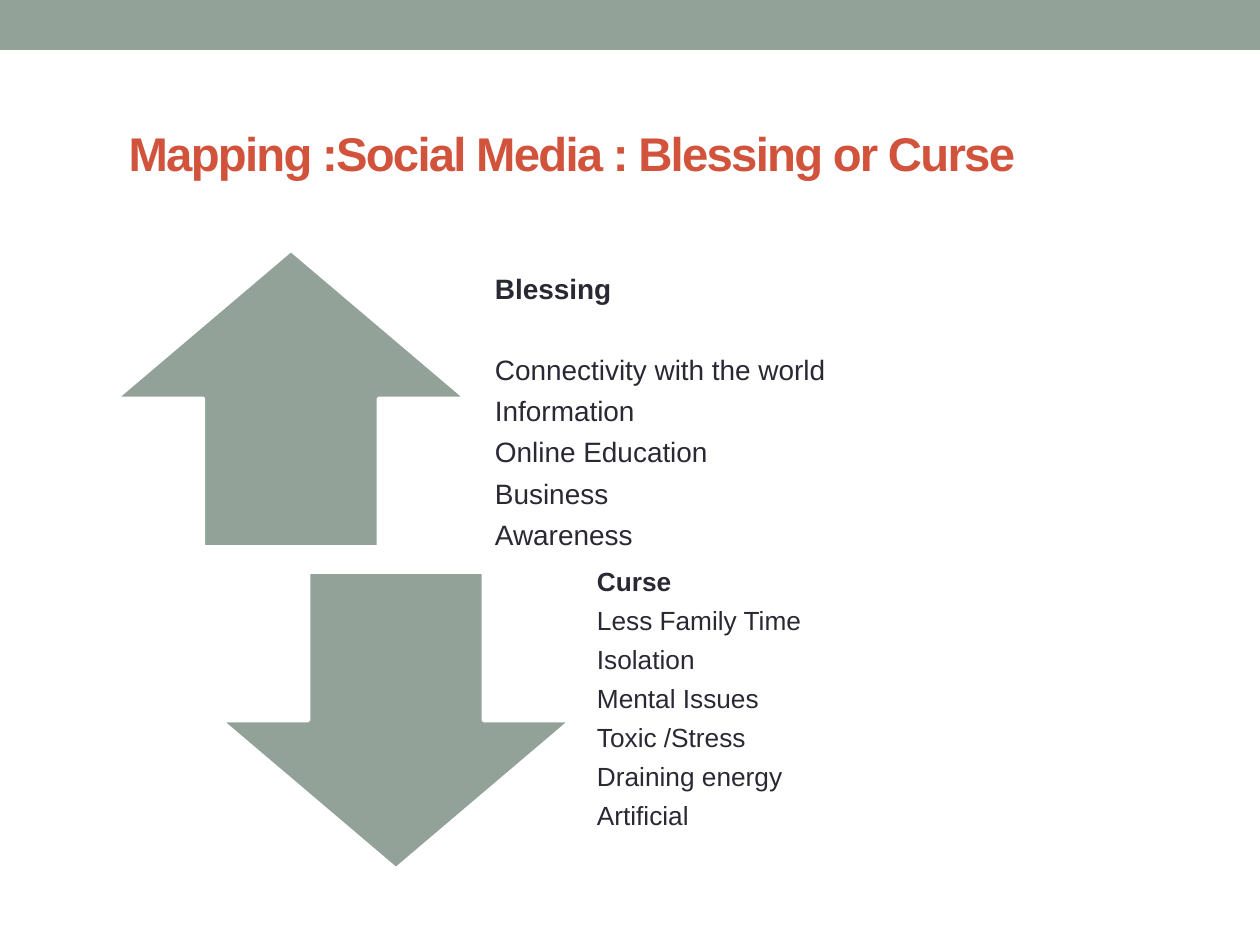
from pptx import Presentation
from pptx.dml.color import RGBColor
from pptx.enum.shapes import MSO_SHAPE as Shape
from pptx.enum.text import MSO_ANCHOR as Anchor, MSO_AUTO_SIZE as AutoSize, PP_ALIGN as Align
from pptx.oxml.ns import qn
from pptx.util import Pt

PX = 914400 / 126
COLORS = {"sage": "93A299", "red": "D2533C", "ink": "292934", "white": "FFFFFF"}
FONT = "Arial"


def px(value):
    return round(value * PX)


def color(name):
    return RGBColor.from_string(COLORS[name])


def place(shape, box):
    shape.left, shape.top, shape.width, shape.height = map(px, box)


def set_font(font, size, name, bold):
    font.name, font.size, font.bold = FONT, Pt(size), bold
    font.color.rgb = color(name)


def add_sage_shape(page, kind, box):
    shape = page.shapes.add_shape(kind, *map(px, box))
    shape.shadow.inherit = False
    shape.fill.solid()
    shape.fill.fore_color.rgb = color("sage")
    shape.line.fill.background()
    return shape


def add_arrow(page, kind, box):
    arrow = add_sage_shape(page, kind, box)
    arrow.line.color.rgb = color("white")
    arrow.line.width = Pt(2.08)


def fill_title(title, box, text):
    place(title, box)
    frame = title.text_frame
    frame.text = text
    frame.auto_size = AutoSize.NONE
    frame.vertical_anchor = Anchor.MIDDLE
    para = frame.paragraphs[0]
    para.alignment = Align.LEFT
    set_font(para.font, 27, "red", True)
    # Tight letter spacing
    para.runs[0].font._element.set("spc", "-100")


def fill_list(body, box, top_inset, lines, size, gap, heading_gap):
    """Write a bold heading and its plain list, without bullets."""
    place(body, box)
    frame = body.text_frame
    frame.auto_size = AutoSize.NONE
    frame.vertical_anchor = Anchor.TOP
    frame.margin_left = frame.margin_right = px(15)
    frame.margin_top, frame.margin_bottom = px(top_inset), 0
    frame.text = "\n".join(lines)
    for index, para in enumerate(frame.paragraphs):
        heading = index == 0
        props = para._p.get_or_add_pPr()
        props.set("marL", "0")
        props.set("indent", "0")
        props.append(props.makeelement(qn("a:buNone"), {}))
        para.line_spacing = 0.9
        para.space_before = Pt(0)
        para.space_after = Pt(heading_gap if heading else gap)
        set_font(para.font, size, "ink", heading)


def main():
    deck = Presentation()
    deck.slide_width, deck.slide_height = px(1260), px(945)
    page = deck.slides.add_slide(deck.slide_layouts.get_by_name("Two Content"))
    title, blessing, curse = page.placeholders

    # Top band and title
    add_sage_shape(page, Shape.RECTANGLE, (0, 0, 1260, 50))
    fill_title(title, (116, 116, 1040, 73), "Mapping :Social Media : Blessing or Curse")

    # Blessing: arrow up
    add_arrow(page, Shape.UP_ARROW, (116, 250, 350, 297))
    fill_list(blessing, (480, 250, 593, 412), 25,
              ["Blessing", "Connectivity with the world", "Information",
               "Online Education", "Business", "Awareness"],
              size=16, gap=6.3, heading_gap=29.2)

    # Curse: arrow down
    add_arrow(page, Shape.DOWN_ARROW, (221, 572, 350, 297))
    fill_list(curse, (582, 489, 593, 463), 80,
              ["Curse", "Less Family Time", "Isolation", "Mental Issues",
               "Toxic /Stress", "Draining energy", "Artificial"],
              size=15, gap=6, heading_gap=6)

    deck.save("out.pptx")


if __name__ == "__main__":
    main()
